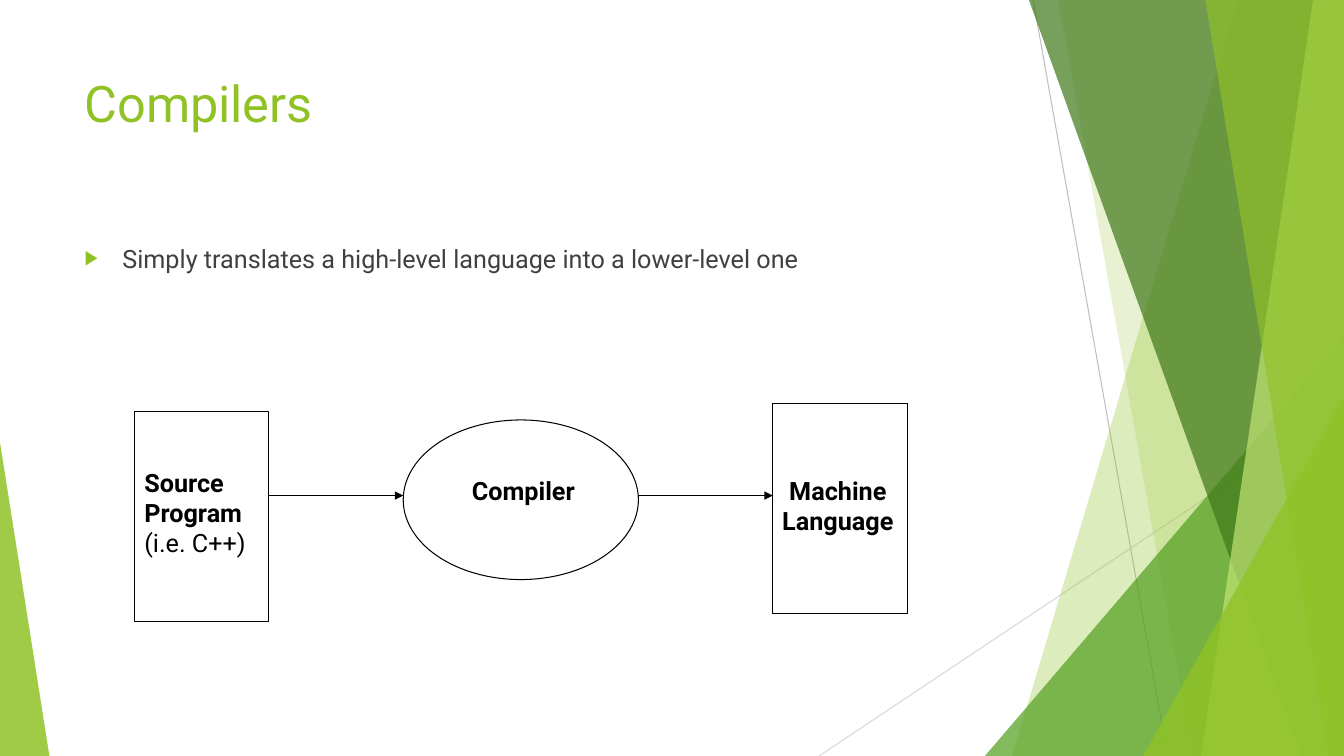
import pptx
import pptx.util
import pptx.dml.color
import pptx.enum.shapes
import pptx.enum.text
import pptx.oxml
import pptx.oxml.ns
import lxml.etree

Pt = pptx.util.Pt
qn = pptx.oxml.ns.qn
SHAPES = pptx.enum.shapes.MSO_SHAPE
WIDTH, HEIGHT = 960, 540
FONT = "Roboto"
COLORS = {
    "lime": "90C226", "pale lime": "C0E474", "green": "54A021",
    "dark green": "3F7819", "gray": "BFBFBF", "light gray": "D9D9D9",
    "text": "404040", "black": "000000",
}

# Color, opacity in percent, top left x, bottom left x; each band runs to the right edge.
BANDS_BEHIND = [("lime", 30, 884, 723), ("lime", 20, 756, 852)]
BANDS_FRONT = [("dark green", 70, 735, 929.5), ("pale lime", 70, 938, 858),
               ("lime", 65, 861, 949)]


def rgb(color):
    return pptx.dml.color.RGBColor.from_string(COLORS[color])


def fill_translucent(shape, color, opacity):
    shape.shadow.inherit = False
    shape.line.fill.background()
    shape.fill.solid()
    shape.fill.fore_color.rgb = rgb(color)
    color_element = shape.fill._xPr.find(qn("a:solidFill"))[0]
    lxml.etree.SubElement(color_element, qn("a:alpha"), val=str(opacity * 1000))


def add_band(slide, color, opacity, top_x, bottom_x):
    builder = slide.shapes.build_freeform(Pt(top_x), 0)
    corners = [(WIDTH, 0), (WIDTH, HEIGHT), (bottom_x, HEIGHT)]
    builder.add_line_segments([(Pt(x), Pt(y)) for x, y in corners])
    fill_translucent(builder.convert_to_shape(), color, opacity)


def add_corner_triangle(slide, left, top, width, apex, color, opacity):
    """Add a triangle standing on the bottom edge; apex is 0 for left, 1 for right."""
    shape = slide.shapes.add_shape(SHAPES.ISOSCELES_TRIANGLE, Pt(left), Pt(top),
                                   Pt(width), Pt(HEIGHT - top))
    shape.adjustments[0] = apex
    fill_translucent(shape, color, opacity)


def add_line(slide, start, end, color, arrow=False):
    connector = slide.shapes.add_connector(
        pptx.enum.shapes.MSO_CONNECTOR.STRAIGHT, *map(Pt, start + end))
    connector.line.width = Pt(0.75)
    connector.line.color.rgb = rgb(color)
    if arrow:
        lxml.etree.SubElement(connector.line._get_or_add_ln(), qn("a:tailEnd"),
                              type="triangle")
    lxml.etree.SubElement(connector._element.spPr, qn("a:effectLst"))


def add_outline(slide, kind, left, top, width, height):
    shape = slide.shapes.add_shape(kind, Pt(left), Pt(top), Pt(width), Pt(height))
    shape.shadow.inherit = False
    shape.fill.background()
    shape.line.width = Pt(0.75)
    shape.line.color.rgb = rgb("black")


def add_text(slide, box, lines, size=18, color="black", centered=False):
    """Add a text box from (text, bold) lines and return its paragraphs."""
    frame = slide.shapes.add_textbox(*map(Pt, box)).text_frame
    frame.word_wrap = True
    for index, (text, bold) in enumerate(lines):
        paragraph = frame.add_paragraph() if index else frame.paragraphs[0]
        if centered:
            paragraph.alignment = pptx.enum.text.PP_ALIGN.CENTER
        run = paragraph.add_run()
        run.text = text
        formats = {"name": FONT, "size": Pt(size), "bold": bold}
        for name, value in formats.items():
            setattr(run.font, name, value)
        run.font.color.rgb = rgb(color)
    return frame.paragraphs


def add_bullet(paragraph):
    paragraph.space_before = Pt(10)
    properties = paragraph._p.get_or_add_pPr()
    properties.set("marL", str(Pt(27)))
    properties.set("indent", str(-Pt(27)))
    bullet_color = lxml.etree.SubElement(properties, qn("a:buClr"))
    lxml.etree.SubElement(bullet_color, qn("a:srgbClr"), val=COLORS["lime"])
    lxml.etree.SubElement(properties, qn("a:buSzPct"), val="80000")
    lxml.etree.SubElement(properties, qn("a:buFont"), typeface=FONT)
    lxml.etree.SubElement(properties, qn("a:buChar"), char="▶")


def add_decoration(slide):
    add_line(slide, (738, 0), (834, HEIGHT), "gray")
    add_line(slide, (WIDTH, 290), (585, HEIGHT), "light gray")
    for band in BANDS_BEHIND:
        add_band(slide, *band)
    add_corner_triangle(slide, 703.5, 240, 256.5, 1, "green", 72)
    for band in BANDS_FRONT:
        add_band(slide, *band)
    add_corner_triangle(slide, 816.5, 283, 143.5, 1, "lime", 80)
    add_corner_triangle(slide, 0, 316, 35.3, 0, "lime", 85)


def add_compiler_diagram(slide):
    add_outline(slide, SHAPES.RECTANGLE, 96, 294, 96, 150)
    add_outline(slide, SHAPES.RECTANGLE, 552, 288, 96, 150)
    add_outline(slide, SHAPES.OVAL, 288, 300, 168, 114)
    add_text(slide, (330, 336, 92, 29), [("Compiler", True)])
    add_text(slide, (96, 330, 89, 72),
             [("Source", True), ("Program", True), ("(i.e. C++)", False)])
    for left in (192, 456):
        add_line(slide, (left, 354), (left + 96, 354), "black", arrow=True)
    add_text(slide, (548, 336, 101, 73),
             [("Machine", True), ("Language", True)], centered=True)


def main():
    presentation = pptx.Presentation()
    presentation.slide_width = Pt(WIDTH)
    presentation.slide_height = Pt(HEIGHT)
    slide = presentation.slides.add_slide(presentation.slide_layouts[6])
    add_decoration(slide)
    add_text(slide, (53.3, 48, 677, 104), [("Compilers", False)], 36, "lime")
    statement = "Simply translates a high-level language into a lower-level one"
    add_bullet(add_text(slide, (53.3, 170, 677, 305), [(statement, False)],
                        color="text")[0])
    add_compiler_diagram(slide)
    presentation.save("out.pptx")


if __name__ == "__main__":
    main()
